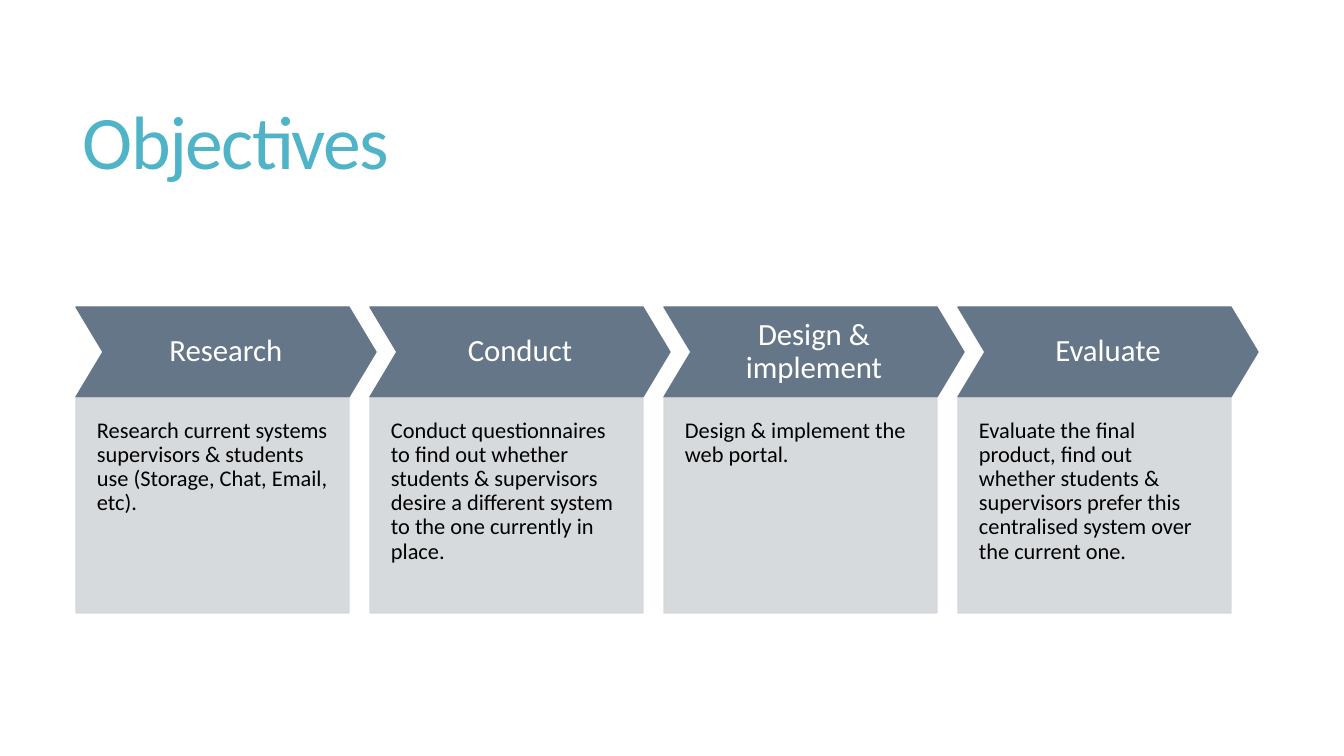
from typing import NamedTuple

from lxml import etree
from pptx import Presentation, util as u
from pptx.dml.color import RGBColor
from pptx.enum import shapes, text
from pptx.oxml.ns import qn

SCALE = 914400 / 100.8  # EMU per pixel


class Theme(NamedTuple):
    """Colours and type sizes of the slide."""
    font: str = "Calibri"
    title: str = "50B4C8"
    arrow: str = "657689"
    panel: str = "D3D6DA"
    light: str = "FFFFFF"
    dark: str = "000000"
    title_pt: int = 54
    head_pt: int = 22
    body_pt: int = 16
    alpha: int = 90


class Box(NamedTuple):
    """A rectangle in pixels."""
    x: int
    y: int
    w: int
    h: int


class Step(NamedTuple):
    """One stage of the process."""
    head: str
    body: str


class Style(NamedTuple):
    """Look of a block of text; pad is left, top, right, bottom."""
    size: int
    color: str
    align: text.PP_ALIGN
    anchor: text.MSO_ANCHOR
    pad: tuple[int, int, int, int]
    lead: float = 0.9


THEME = Theme()
LEFT, TOP, PITCH = 76, 307, 294
ARROW_W, ARROW_H = 300, 90
PANEL_W, PANEL_H = 273, 215
PALE = THEME.alpha
TITLE = Style(THEME.title_pt, THEME.title, text.PP_ALIGN.LEFT,
              text.MSO_ANCHOR.MIDDLE, (10, 5, 10, 5), 0.85)
HEAD = Style(THEME.head_pt, THEME.light, text.PP_ALIGN.CENTER,
             text.MSO_ANCHOR.MIDDLE, (11, 11, 11, 11))
BODY = Style(THEME.body_pt, THEME.dark, text.PP_ALIGN.LEFT,
             text.MSO_ANCHOR.TOP, (21, 21, 21, 43))
STEPS = (
    Step("Research", "Research current systems supervisors & students use "
         "(Storage, Chat, Email, etc)."),
    Step("Conduct", "Conduct questionnaires to find out whether students & "
         "supervisors desire a different system to the one currently in place."),
    Step("Design & implement", "Design & implement the web portal."),
    Step("Evaluate", "Evaluate the final product, find out whether students & "
         "supervisors prefer this centralised system over the current one."),
)


def px(n: float) -> u.Emu:
    """Turn pixels into EMU."""
    return u.Emu(round(n * SCALE))


def write(shape, words: str, style: Style):
    """Put styled text in a shape and return its paragraph."""
    frame = shape.text_frame
    frame.word_wrap = True
    frame.vertical_anchor = style.anchor
    (frame.margin_left, frame.margin_top,
     frame.margin_right, frame.margin_bottom) = map(px, style.pad)
    para = frame.paragraphs[0]
    para.text = words
    para.alignment = style.align
    para.line_spacing = style.lead
    para.font.name = THEME.font
    para.font.size = u.Pt(style.size)
    para.font.color.rgb = RGBColor.from_string(style.color)
    return para


def draw(slide, kind: shapes.MSO_SHAPE, box: Box, color: str, alpha: int = 100):
    """Add a preset shape with fill and line of one colour."""
    shape = slide.shapes.add_shape(kind, *map(px, box))
    shape.shadow.inherit = False
    shape.fill.solid()
    shape.line.width = u.Pt(1)
    for fill in (shape.fill, shape.line.fill):
        fill.solid()
        fill.fore_color.rgb = RGBColor.from_string(color)
    if alpha < 100:
        for tint in shape._element.spPr.iter(qn("a:srgbClr")):
            etree.SubElement(tint, qn("a:alpha")).set("val", str(alpha * 1000))
    return shape


def add_step(slide, step: Step, x: int) -> None:
    """Add an arrow heading with its panel below."""
    arrow = draw(slide, shapes.MSO_SHAPE.CHEVRON,
                 Box(x, TOP, ARROW_W, ARROW_H), THEME.arrow)
    arrow.adjustments[0] = 0.3
    write(arrow, step.head, HEAD)
    panel = draw(slide, shapes.MSO_SHAPE.RECTANGLE,
                 Box(x, TOP + ARROW_H + 1, PANEL_W, PANEL_H), THEME.panel, PALE)
    write(panel, step.body, BODY)


def add_title(slide, words: str) -> None:
    """Add the tightly spaced slide title."""
    box = slide.shapes.add_textbox(*map(px, Box(73, 55, 1187, 182)))
    para = write(box, words, TITLE)
    para._p.get_or_add_pPr().find(qn("a:defRPr")).set("spc", "-120")


def main() -> None:
    """Build and save the slide."""
    deck = Presentation()
    deck.slide_width, deck.slide_height = px(1344), px(756)
    slide = deck.slides.add_slide(deck.slide_layouts[6])
    add_title(slide, "Objectives")
    for i, step in enumerate(STEPS):
        add_step(slide, step, LEFT + i * PITCH)
    deck.save("out.pptx")


main()
